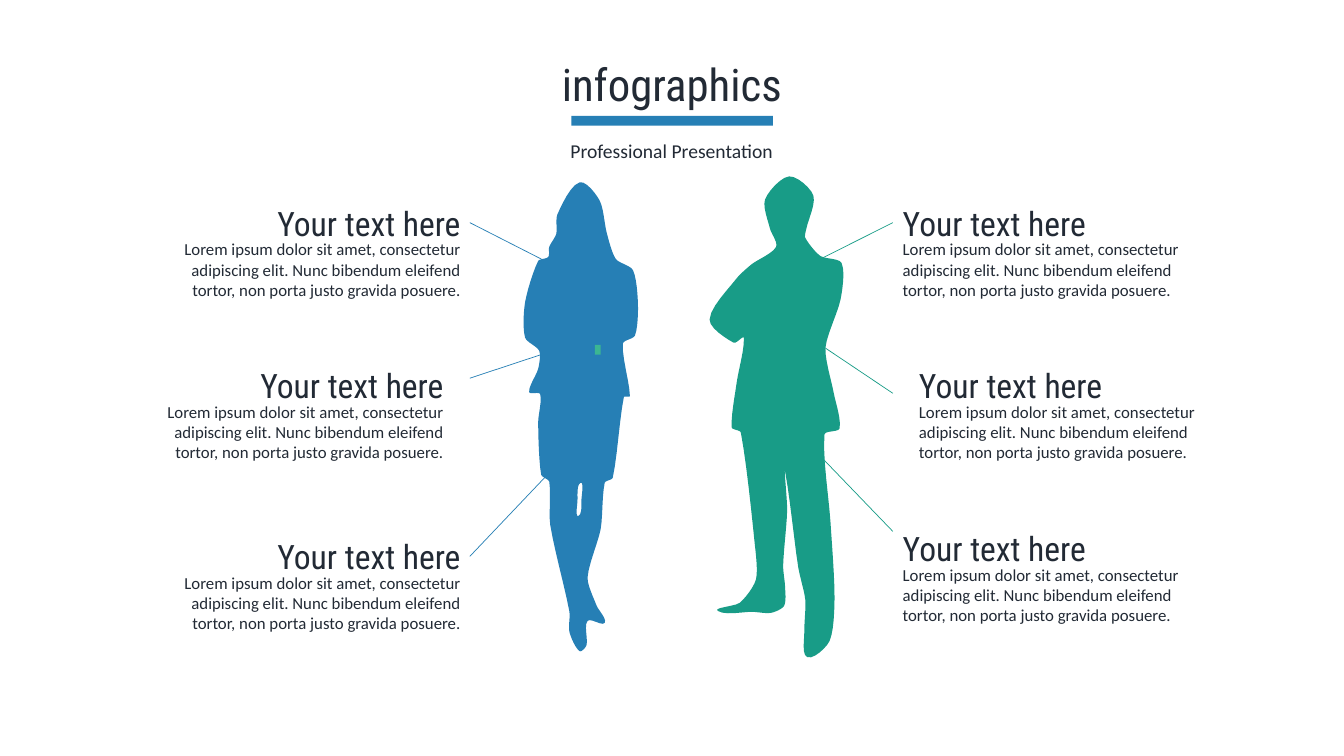
import math

import pptx
import pptx.dml.color
import pptx.enum.shapes
import pptx.enum.text
import pptx.oxml.ns
import pptx.util
from lxml import etree

Cm = pptx.util.Cm
ALIGN = pptx.enum.text.PP_ALIGN
BLUE, GREEN, MINT, INK = "267FB5", "189C87", "3BB692", "222A35"
CURVE_STEPS = 6
HANDLE_SHARE = 0.25
OUTLINE_UNIT = Cm(0.0254)

HEADING = "Your text here"
BODY = ("Lorem ipsum dolor sit amet, consectetur adipiscing elit. "
        "Nunc bibendum eleifend tortor, non porta justo gravida posuere.")
TITLE_FORMAT = {"name": "Roboto Condensed", "size": pptx.util.Pt(32)}
SUBTITLE_FORMAT = {"name": "Calibri", "size": pptx.util.Pt(14)}
HEADING_FORMAT = {"name": "Roboto Condensed", "size": pptx.util.Pt(24)}
BODY_FORMAT = {"name": "Calibri", "size": pptx.util.Pt(12)}
FRAME_FORMAT = {"word_wrap": True, "auto_size": pptx.enum.text.MSO_AUTO_SIZE.SHAPE_TO_FIT_TEXT}

WOMAN = [
    (575, 181), (595, 199), (602, 231), (611, 257), (628, 268), (633, 302),
    (630, 333), (618, 341), (625, 393), (619, 394), (608, 474), (600, 479),
    (596, 525), (583, 573), (592, 601), (600, 618), (583, 616), (582, 640),
    (575, 646), (565, 627), (565, 607), (546, 521), (545, 478), (537, 471),
    (534, 419), (536, 391), (525, 389), (534, 366), (535, 348), (521, 335),
    (521, 300), (534, 259), (544, 255), (545, 245), (552, 232), (553, 213)]
WOMAN_LEG_GAP = [(576, 479), (573, 497), (574, 512), (577, 495)]
MAN = [
    (783, 175), (759, 198), (764, 227), (770, 245), (746, 262), (731, 276),
    (704, 317), (728, 340), (738, 335), (731, 379), (726, 424), (735, 429),
    (749, 541), (750, 575), (734, 598), (712, 606), (747, 607), (765, 608),
    (778, 601), (779, 583), (777, 561), (781, 506), (779, 468), (792, 563),
    (799, 595), (798, 627), (801, 652), (823, 636), (828, 593), (824, 518),
    (818, 431), (833, 425), (827, 389), (819, 345), (834, 297), (835, 261),
    (814, 254), (799, 236), (800, 227), (807, 194)]

FIGURES = [(BLUE, [WOMAN, WOMAN_LEG_GAP]), (GREEN, [MAN])]
BARS = [(MINT, 14.99, 8.69, 0.15, 0.25), (BLUE, 14.4, 2.92, 5.08, 0.25)]
CALLOUTS = [
    (3.81, 4.98, ALIGN.RIGHT), (22.5, 4.98, ALIGN.LEFT), (22.91, 9.07, ALIGN.LEFT),
    (22.5, 13.18, ALIGN.LEFT), (3.38, 9.07, ALIGN.RIGHT), (3.81, 13.39, ALIGN.RIGHT)]
LEADERS = [
    (BLUE, 11.84, 5.61, 13.94, 6.68), (BLUE, 11.84, 9.53, 14.38, 8.69),
    (BLUE, 11.84, 14.02, 13.94, 11.81), (GREEN, 22.5, 5.61, 20.37, 6.68),
    (GREEN, 22.5, 9.91, 20.68, 8.69), (GREEN, 22.5, 13.39, 20.37, 11.18)]
TITLES = [
    ("infographics", 0, 1.3, 33.87, 1.62, ALIGN.CENTER, TITLE_FORMAT),
    ("Professional Presentation", 1.73, 3.38, 30.4, 0.86, ALIGN.CENTER, SUBTITLE_FORMAT)]


def paint(color_format, hex_color):
    """Set a colour from a hex string."""
    color_format.rgb = pptx.dml.color.RGBColor.from_string(hex_color)


def fill_plain(shape, hex_color):
    """Give a shape a solid fill with no outline or shadow."""
    shape.shadow.inherit = False
    shape.fill.solid()
    paint(shape.fill.fore_color, hex_color)
    shape.line.fill.background()


def tangent(before, after):
    """Return the unit direction between two points."""
    length = math.dist(before, after)
    return [(end - start) / length for start, end in zip(before, after)]


def smooth_outline(points):
    """Return slide points on a smooth closed curve through the given points."""
    traced = []
    count = len(points)
    for index, start in enumerate(points):
        end = points[(index + 1) % count]
        reach = HANDLE_SHARE * math.dist(start, end)
        leaving = tangent(points[index - 1], end)
        arriving = tangent(start, points[(index + 2) % count])
        controls = (start,
                    [value + reach * slope for value, slope in zip(start, leaving)],
                    [value - reach * slope for value, slope in zip(end, arriving)],
                    end)
        for step in range(CURVE_STEPS):
            t = step / CURVE_STEPS
            weights = ((1 - t) ** 3, 3 * t * (1 - t) ** 2, 3 * t * t * (1 - t), t ** 3)
            traced.append([
                round(OUTLINE_UNIT * sum(weight * point[axis] for weight, point in zip(weights, controls)))
                for axis in range(2)])
    return traced


def add_figure(slide, hex_color, outlines):
    """Draw one filled figure from its closed outlines."""
    contours = [smooth_outline(outline) for outline in outlines]
    builder = slide.shapes.build_freeform(*contours[0][0])
    builder.add_line_segments(contours[0][1:], close=True)
    for contour in contours[1:]:
        builder.move_to(*contour[0])
        builder.add_line_segments(contour[1:], close=True)
    fill_plain(builder.convert_to_shape(), hex_color)


def add_bar(slide, hex_color, *box):
    """Add a plain filled rectangle."""
    bar = slide.shapes.add_shape(
        pptx.enum.shapes.MSO_SHAPE.RECTANGLE, *(Cm(length) for length in box))
    fill_plain(bar, hex_color)


def add_text(slide, text, left, top, width, height, alignment, font_format):
    """Add a text box holding one formatted paragraph."""
    box = slide.shapes.add_textbox(Cm(left), Cm(top), Cm(width), Cm(height))
    paragraph = box.text_frame.paragraphs[0]
    paragraph.alignment = alignment
    run = paragraph.add_run()
    run.text = text
    for target, values in ((box.text_frame, FRAME_FORMAT), (run.font, font_format)):
        for name, value in values.items():
            setattr(target, name, value)
    paint(run.font.color, INK)


def add_callout(slide, left, top, alignment):
    """Add a heading with its body text below."""
    add_text(slide, BODY, left, top + 0.92, 8.05, 1.8, alignment, BODY_FORMAT)
    add_text(slide, HEADING, left, top, 8.05, 1.27, alignment, HEADING_FORMAT)


def add_leader(slide, hex_color, *ends):
    """Add a thin line from a callout to a figure."""
    connector = slide.shapes.add_connector(
        pptx.enum.shapes.MSO_CONNECTOR.STRAIGHT, *(Cm(end) for end in ends))
    connector.line.width = pptx.util.Pt(0.5)
    paint(connector.line.color, hex_color)
    etree.SubElement(connector._element.spPr, pptx.oxml.ns.qn("a:effectLst"))


def main():
    """Build the slide and save it."""
    presentation = pptx.Presentation()
    presentation.slide_width, presentation.slide_height = Cm(33.87), Cm(19.05)
    slide = presentation.slides.add_slide(presentation.slide_layouts[6])
    for add_item, items in ((add_figure, FIGURES), (add_callout, CALLOUTS),
                            (add_leader, LEADERS), (add_text, TITLES), (add_bar, BARS)):
        for item in items:
            add_item(slide, *item)
    presentation.save("out.pptx")


if __name__ == "__main__":
    main()
